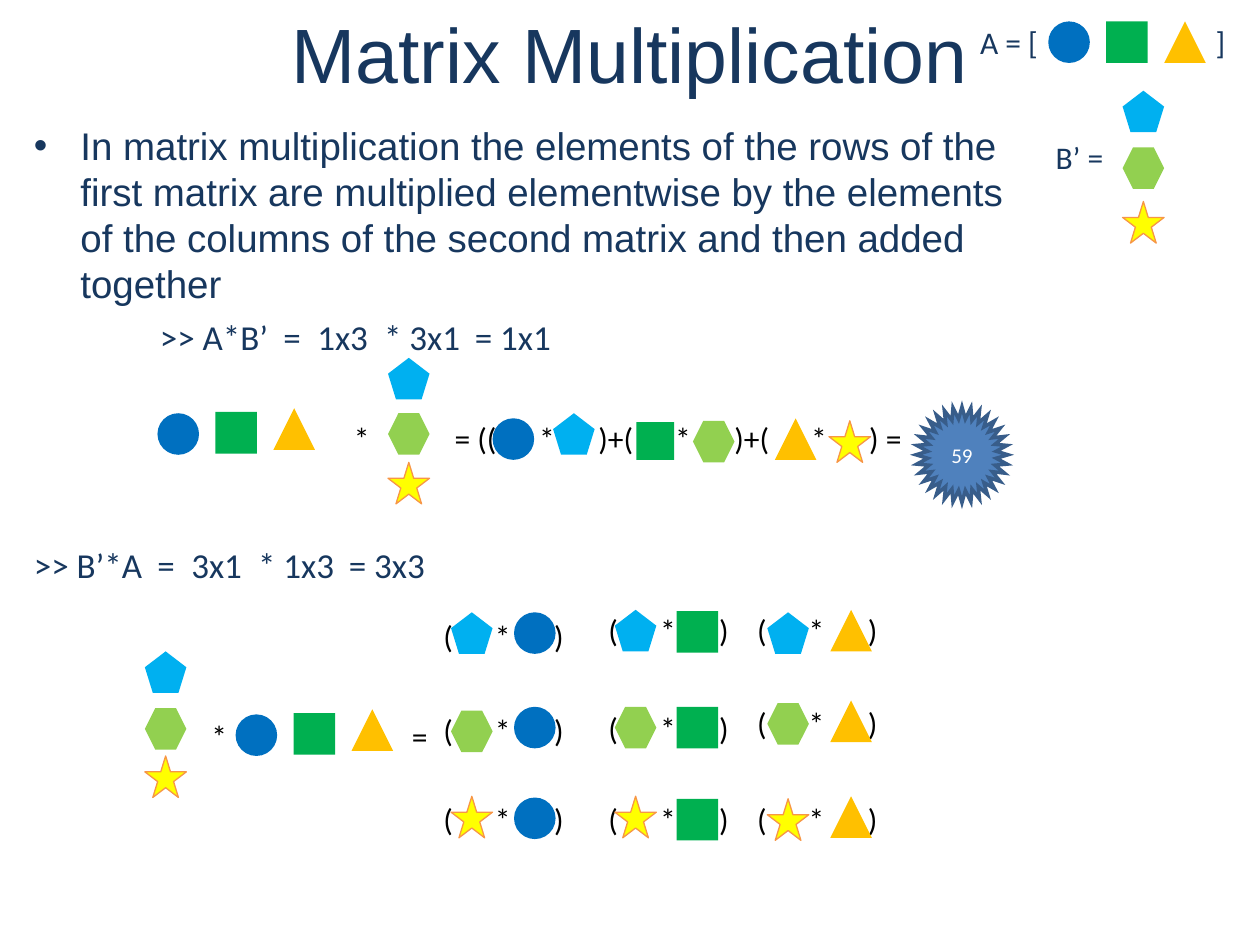
from lxml import etree
from pptx import Presentation
from pptx.dml.color import RGBColor
from pptx.enum.shapes import MSO_SHAPE
from pptx.enum.text import MSO_ANCHOR, PP_ALIGN
from pptx.oxml.ns import qn
from pptx.util import Inches, Pt

NAVY = RGBColor(0x17, 0x37, 0x5E)
BLACK = RGBColor(0, 0, 0)
WHITE = RGBColor(255, 255, 255)
ORANGE = RGBColor(0xF7, 0x96, 0x46)
BURST_FILL = RGBColor(0x4F, 0x81, 0xBD)
BURST_LINE = RGBColor(0x38, 0x5D, 0x8A)

# element: (preset, fill)
ELEMENTS = {
    "circle": (MSO_SHAPE.OVAL, RGBColor(0x00, 0x70, 0xC0)),
    "square": (MSO_SHAPE.RECTANGLE, RGBColor(0x00, 0xB0, 0x50)),
    "triangle": (MSO_SHAPE.ISOSCELES_TRIANGLE, RGBColor(0xFF, 0xC0, 0x00)),
    "pentagon": (MSO_SHAPE.REGULAR_PENTAGON, RGBColor(0x00, 0xB0, 0xF0)),
    "hexagon": (MSO_SHAPE.HEXAGON, RGBColor(0x92, 0xD0, 0x50)),
    "star": (MSO_SHAPE.STAR_5_POINT, RGBColor(0xFF, 0xFF, 0x00)),
}
A_ROW = ("circle", "square", "triangle")
B_COLUMN = ("pentagon", "hexagon", "star")
SIZE = 0.33
ROW_PITCH = 0.46

EXPLANATION = (
    "In matrix multiplication the elements of the rows of the first matrix are "
    "multiplied elementwise by the elements of the columns of the second matrix "
    "and then added together"
)
# text, indent of the line, space before
COMMANDS = [
    ("\t>> A*B’\t=\t1x3\t* 3x1\t= 1x1", 1, 5.5),
    (">> B’*A\t=\t3x1\t* 1x3\t= 3x3", 0, 106),
]
COMMAND_STOPS = (0.98, 1.25, 1.78, 2.5)

# text, (left, top, width), tab stops
EQUATIONS = [
    ("*\t= ((\t*\t)+(\t*\t)+(\t*\t) =", (2.71, 3.28, 4.61),
     (0.8, 1.47, 1.94, 2.55, 3.02, 3.63, 4.09)),
    ("*\t=", (1.58, 5.64, 1.97), (1.59,)),
]
# element, left, top, size
SUM_TERMS = [
    ("circle", 3.91, 3.32, SIZE), ("pentagon", 4.39, 3.28, SIZE),
    ("square", 5.05, 3.35, 0.3), ("hexagon", 5.5, 3.34, SIZE),
    ("triangle", 6.15, 3.32, SIZE), ("star", 6.58, 3.34, SIZE),
]
# left, tops of the three elements
A_FACTORS = [(1.25, (3.28, 3.27, 3.24)), (1.87, (5.67, 5.66, 5.63))]
B_FACTORS = [(3.08, (2.84, 3.28, 3.67)), (1.15, (5.17, 5.62, 6))]
# one entry per column of the 3x3 result: left and tops of each part
PRODUCT_COLUMNS = [
    {"brackets": (3.42, (4.85, 5.59, 6.3)), "b": (3.58, (4.86, 5.64, 6.32)),
     "a": (4.08, (4.86, 5.61, 6.33))},
    {"brackets": (4.73, (4.8, 5.58, 6.3)), "b": (4.88, (4.84, 5.61, 6.32)),
     "a": (5.37, (4.85, 5.61, 6.34))},
    {"brackets": (5.91, (4.8, 5.54, 6.3)), "b": (6.09, (4.86, 5.58, 6.34)),
     "a": (6.59, (4.84, 5.56, 6.32))},
]


def add_tab_stops(paragraph, stops):
    tab_list = etree.SubElement(paragraph._p.get_or_add_pPr(), qn("a:tabLst"))
    for stop in stops:
        etree.SubElement(tab_list, qn("a:tab"), pos=str(Inches(stop)), algn="l")


def write(paragraph, text, size, color, font="Calibri"):
    paragraph.add_run().text = text
    for name, value in {"size": Pt(size), "name": font}.items():
        setattr(paragraph.runs[0].font, name, value)
    paragraph.runs[0].font.color.rgb = color


def add_frame(shapes, left, top, width, height):
    box = shapes.add_textbox(Inches(left), Inches(top), Inches(width), Inches(height))
    box.text_frame.word_wrap = True
    return box.text_frame


def add_label(shapes, text, place, stops=(), color=BLACK):
    frame = add_frame(shapes, *place, 0.4)
    frame.margin_right = 0
    paragraph = frame.paragraphs[0]
    if stops:
        add_tab_stops(paragraph, stops)
    write(paragraph, text, 18, color)


def add_solid(shapes, preset, left, top, width, height, fill):
    solid = shapes.add_shape(preset, Inches(left), Inches(top), Inches(width), Inches(height))
    solid.shadow.inherit = False
    solid.fill.solid()
    solid.fill.fore_color.rgb = fill
    return solid


def add_element(shapes, kind, left, top, size=SIZE):
    preset, fill = ELEMENTS[kind]
    element = add_solid(shapes, preset, left, top, size, size, fill)
    if kind == "star":
        element.line.color.rgb = ORANGE
        element.line.width = Pt(0.75)
    else:
        element.line.fill.background()


def add_row(shapes, left, tops):
    for i, (kind, top) in enumerate(zip(A_ROW, tops)):
        add_element(shapes, kind, left + i * ROW_PITCH, top)


def add_column(shapes, left, tops):
    for kind, top in zip(B_COLUMN, tops):
        add_element(shapes, kind, left, top)


def add_body(shapes):
    frame = add_frame(shapes, 0.17, 0.92, 8.11, 6.67)
    intro = frame.paragraphs[0]
    properties = intro._p.get_or_add_pPr()
    properties.set("marL", str(Inches(0.37)))
    properties.set("indent", str(Inches(-0.37)))
    etree.SubElement(properties, qn("a:buFont"), typeface="Arial")
    etree.SubElement(properties, qn("a:buChar"), char="•")
    intro.line_spacing = Pt(26.3)
    write(intro, EXPLANATION, 22, NAVY, "Arial")
    for text, indent, space in COMMANDS:
        command = frame.add_paragraph()
        first = (indent,) if indent else ()
        add_tab_stops(command, first + tuple(indent + stop for stop in COMMAND_STOPS))
        command.space_before = Pt(space)
        write(command, text, 20, NAVY)


def add_result(shapes):
    burst = add_solid(shapes, MSO_SHAPE.STAR_32_POINT, 7.27, 3.23, 0.73, 0.76, BURST_FILL)
    burst.line.color.rgb = BURST_LINE
    burst.line.width = Pt(2)
    # pointed spikes
    etree.SubElement(burst.line._get_or_add_ln(), qn("a:miter"), lim="800000")
    burst.text_frame.vertical_anchor = MSO_ANCHOR.MIDDLE
    paragraph = burst.text_frame.paragraphs[0]
    paragraph.alignment = PP_ALIGN.CENTER
    write(paragraph, "59", 12, WHITE)


def main():
    prs = Presentation()
    prs.slide_width, prs.slide_height = Inches(10), Inches(7.5)
    shapes = prs.slides.add_slide(prs.slide_layouts[6]).shapes

    add_body(shapes)
    title = add_frame(shapes, 0, 0, 10, 0.83)
    title.vertical_anchor = MSO_ANCHOR.MIDDLE
    title.paragraphs[0].alignment = PP_ALIGN.CENTER
    write(title.paragraphs[0], "Matrix Multiplication", 44, NAVY, "Arial")

    matrix_a = shapes.add_group_shape().shapes
    add_label(matrix_a, "A = [\t]", (7.68, 0.13, 2.2), (1.87,), NAVY)
    add_row(matrix_a, 8.32, (0.17,) * 3)
    matrix_b = shapes.add_group_shape().shapes
    add_label(matrix_b, "B’ =", (8.28, 1.05, 0.63), color=NAVY)
    add_column(matrix_b, 8.91, (0.72, 1.17, 1.6))

    for text, place, stops in EQUATIONS:
        add_label(shapes, text, place, stops)
    for left, tops in A_FACTORS:
        add_row(shapes, left, tops)
    for left, tops in B_FACTORS:
        add_column(shapes, left, tops)
    for term in SUM_TERMS:
        add_element(shapes, *term)
    add_result(shapes)

    for a_kind, column in zip(A_ROW, PRODUCT_COLUMNS):
        left, tops = column["brackets"]
        for top in tops:
            add_label(shapes, "(\t*\t)", (left, top, 1.15), (0.41, 0.88))
        add_column(shapes, *column["b"])
        left, tops = column["a"]
        for top in tops:
            add_element(shapes, a_kind, left, top)

    prs.save("out.pptx")


if __name__ == "__main__":
    main()
